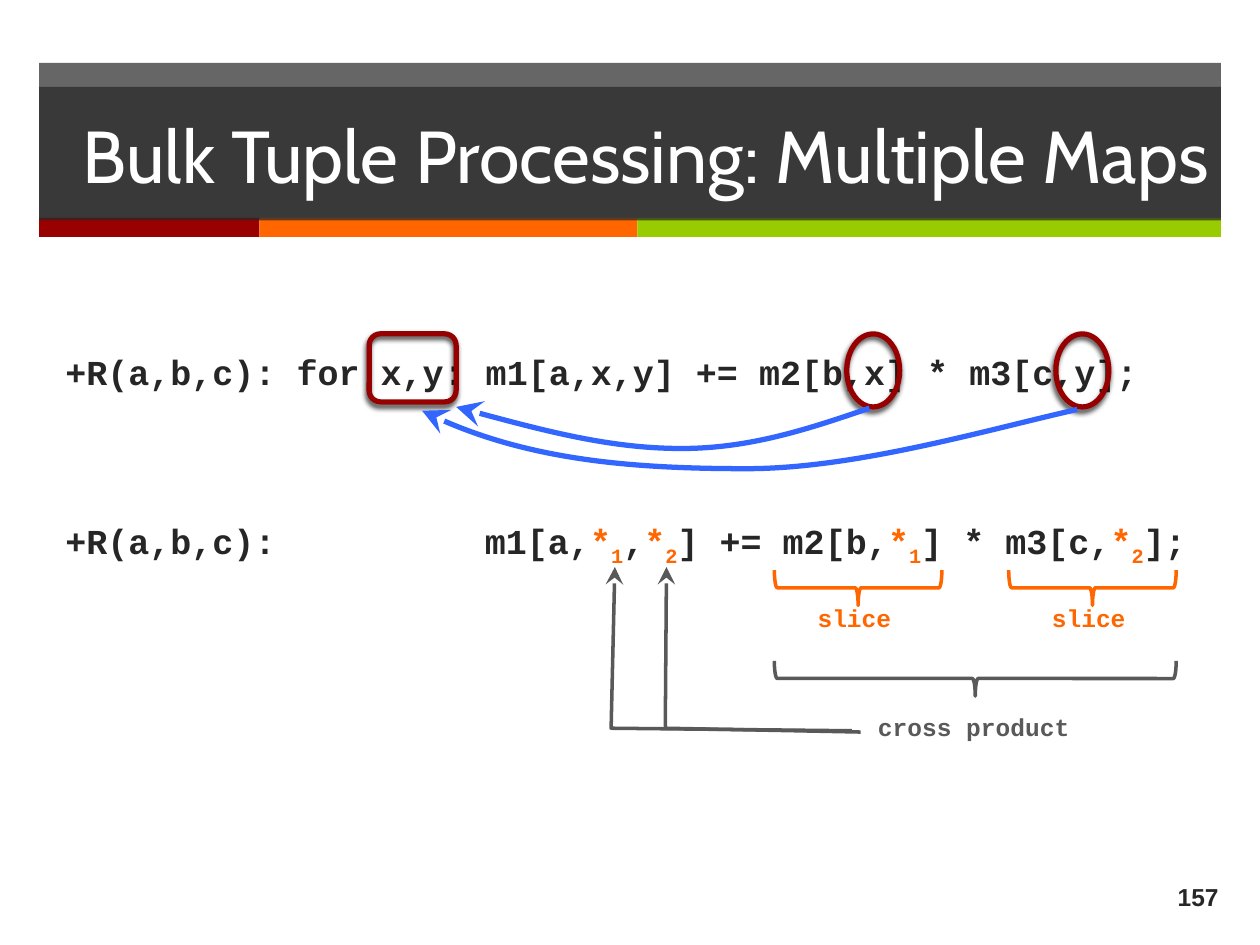
"""Build the slide on bulk tuple processing with multiple maps."""
from lxml.etree import SubElement
from pptx import Presentation
from pptx.dml.color import RGBColor
from pptx.enum.shapes import MSO_SHAPE as SHAPE
from pptx.enum.text import MSO_ANCHOR as ANCHOR, MSO_AUTO_SIZE as AUTO, PP_ALIGN as ALIGN
from pptx.oxml.ns import qn
from pptx.util import Pt

PX = 9144
DARK, ORANGE, GREY, RED, BLUE = "262626", "FF6600", "595959", "960000", "3366FF"
MONO = "Courier New"


def rgb(value):
    return RGBColor.from_string(value)


def add_run(p, text, size, font, color, bold=True):
    r = p.add_run()
    r.text = text
    r.font.size, r.font.name, r.font.bold = Pt(size), font, bold
    r.font.color.rgb = rgb(color)
    return r


prs = Presentation()
prs.slide_width, prs.slide_height = 1000 * PX, 750 * PX
s = prs.slides.add_slide(prs.slide_layouts[5])
title = s.shapes.title

bands = [(31, 50, 938, 124, DARK), (31, 173, 175, 15, "990000"),
         (206, 173, 300, 15, ORANGE), (506, 173, 463, 15, "99CC00")]
veiled = [title]
for x, y, w, h, color in bands:
    sp = s.shapes.add_shape(SHAPE.RECTANGLE, x * PX, y * PX, w * PX, h * PX)
    sp.shadow.inherit = False
    sp.fill.solid()
    sp.fill.fore_color.rgb = rgb(color)
    sp.line.fill.background()
    if color == DARK:
        veiled.append(sp)

title.left, title.top, title.width, title.height = 31 * PX, 69 * PX, 938 * PX, 106 * PX
title.fill.solid()
title.fill.fore_color.rgb = rgb(DARK)
for sp in veiled:
    color = next(sp.fill._xPr.iter(qn("a:srgbClr")))
    SubElement(color, qn("a:alpha"), val="70000")
s.shapes._spTree.append(title._element)
tf = title.text_frame
tf.word_wrap, tf.auto_size, tf.vertical_anchor = True, AUTO.NONE, ANCHOR.MIDDLE
p = tf.paragraphs[0]
p.alignment = ALIGN.RIGHT
add_run(p, "Bulk Tuple Processing: Multiple Maps", 42, "Cabin", "FFFFFF", False)

tf = s.shapes.add_textbox(42 * PX, 273 * PX, 958 * PX, 397 * PX).text_frame
tf.word_wrap = True
p = tf.paragraphs[0]
add_run(p, "+R(a,b,c): for x,y: m1[a,x,y] += m2[b,x] * m3[c,y];", 20, MONO, DARK)
p = tf.add_paragraph()
tabs = SubElement(p._p.get_or_add_pPr(), qn("a:tabLst"))
SubElement(tabs, qn("a:tab"), pos=str(333 * PX), algn="l")
p.space_before = Pt(73)
parts = [("+R(a,b,c):\tm1[a,", "1"), (",", "2"), ("] += m2[b,", "1"), ("] * m3[c,", "2")]
for code, index in parts:
    add_run(p, code, 20, MONO, DARK)
    add_run(p, "*", 20, MONO, ORANGE)
    r = add_run(p, index, 20, MONO, ORANGE)
    r.font._element.set("baseline", "-25000")
add_run(p, "];", 20, MONO, DARK)

rings = [(SHAPE.OVAL, 672, 42, 58), (SHAPE.OVAL, 838, 42, 58),
         (SHAPE.ROUNDED_RECTANGLE, 293, 69, 54)]
for kind, x, w, h in rings:
    sp = s.shapes.add_shape(kind, x * PX, 265 * PX, w * PX, h * PX)
    sp.fill.background()
    sp.line.color.rgb, sp.line.width = rgb(RED), Pt(3)
    sp.shadow.inherit = False
    effects = next(sp._element.iter(qn("a:effectLst")))
    shadow = SubElement(effects, qn("a:outerShdw"), blurRad=str(Pt(3)), dist=str(Pt(2)),
                        dir="6600000", algn="ctr", rotWithShape="0")
    color = SubElement(shadow, qn("a:srgbClr"), val="000000")
    SubElement(color, qn("a:alpha"), val="75000")

arrows = [
    (True, BLUE, 3, [(690, 324), (643, 340), (596, 356), (541, 356),
                     (486, 356), (424, 340), (362, 323)]),
    (True, BLUE, 3, [(855, 325), (784, 341), (679, 372), (593, 372),
                     (506, 372), (412, 365), (335, 326)]),
    (False, GREY, 2, [(683, 581), (528, 578), (529, 450)]),
    (False, GREY, 2, [(676, 580), (485, 578), (488, 450)]),
]
for curved, color, width, points in arrows:
    fb = s.shapes.build_freeform(*points[0], scale=PX)
    fb.add_line_segments(points[1:], close=False)
    sp = fb.convert_to_shape()
    sp.shadow.inherit = False
    sp.fill.background()
    sp.line.color.rgb, sp.line.width = rgb(color), Pt(width)
    SubElement(sp.line._get_or_add_ln(), qn("a:tailEnd"), type="stealth", w="lg", len="lg")
    if curved:
        segments = list(sp._element.iter(qn("a:lnTo")))
        outline = segments[0].getparent()
        for i in range(0, len(segments), 3):
            curve = SubElement(outline, qn("a:cubicBezTo"))
            for segment in segments[i:i + 3]:
                curve.append(segment[0])
                outline.remove(segment)

braces = [(667, 400, 133, ORANGE, "slice", 639, 474, 79),
          (853, 400, 133, ORANGE, "slice", 825, 474, 79),
          (760, 379, 319, GREY, "cross product", 687, 560, 173)]
for x, y, h, color, label, label_x, label_y, label_w in braces:
    sp = s.shapes.add_shape(SHAPE.RIGHT_BRACE, x * PX, y * PX, 28 * PX, h * PX)
    sp.rotation = 90
    sp.shadow.inherit = False
    sp.fill.background()
    sp.line.color.rgb, sp.line.width = rgb(color), Pt(2)
    tf = s.shapes.add_textbox(label_x * PX, label_y * PX, label_w * PX, 34 * PX).text_frame
    tf.word_wrap, tf.auto_size = False, AUTO.SHAPE_TO_FIT_TEXT
    add_run(tf.paragraphs[0], label, 14, MONO, color)

tf = s.shapes.add_textbox(908 * PX, 692 * PX, 69 * PX, 39 * PX).text_frame
tf.word_wrap, tf.vertical_anchor = True, ANCHOR.MIDDLE
p = tf.paragraphs[0]
p.alignment = ALIGN.RIGHT
add_run(p, "157", 14, "Arial", DARK)

prs.save("out.pptx")
